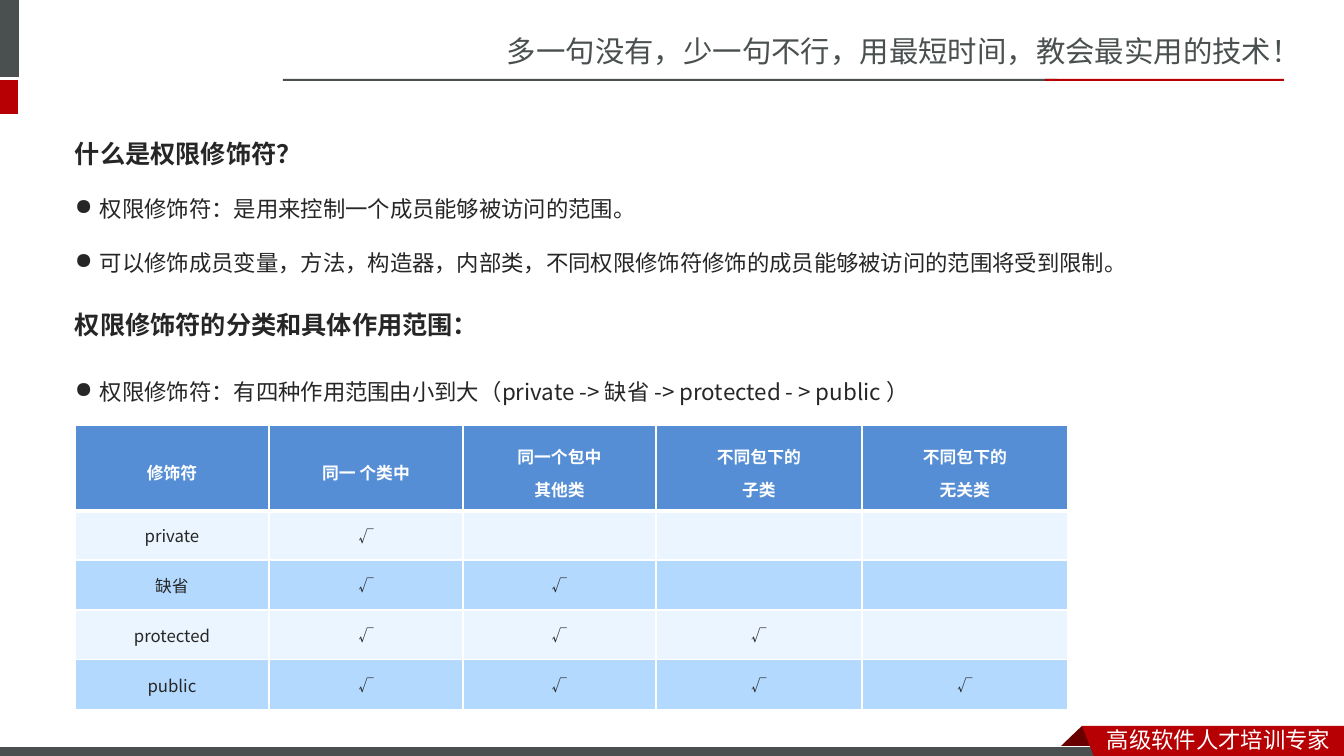
from pptx import Presentation
from pptx import util as u
from pptx.dml.color import RGBColor
from pptx.enum import shapes, text
from pptx.oxml.ns import qn
from lxml import etree

# Content
SC, JP = "Noto Sans CJK SC", "Noto Sans CJK JP"
GREY, RED, DARK_RED, INK, WHITE = "49504F", "B60004", "680000", "262626", "FFFFFF"
HEADER_BLUE, ROW_BLUES = "558ED5", ("EBF5FF", "B3D9FF")

# Bars: left, top, width, height, colour
HEADER_BARS = [
    (-6, 0, 25, 77, GREY),
    (-6, 80, 24, 34, RED),
    (283, 79, 774, 2, GREY),
    (1045, 79, 239, 2, RED),
]
FOOTER_BAR = (-1, 747, 1109, 12, GREY)
FOLD = [(1082, 726), (1104, 748), (1103, 749), (1060, 749), (1059, 748)]
RIBBON = [(1082, 726), (1344, 726), (1344, 760), (1095, 759)]

SLOGAN = "多一句没有，少一句不行，用最短时间，教会最实用的技术！"
FOOTER = "高级软件人才培训专家"

# Body boxes: position, wrap, paragraphs as (style, text)
BODY = [
    ((65, 103, 1092, 172), True, [
        ("heading", "什么是权限修饰符？"),
        ("bullet", "权限修饰符：是用来控制一个成员能够被访问的范围。"),
        ("bullet", "可以修饰成员变量，方法，构造器，内部类，不同权限修饰符修饰的成员能够被访问的范围将受到限制。"),
    ]),
    ((65, 304, 421, 40), False, [("heading", "权限修饰符的分类和具体作用范围：")]),
    ((65, 346, 948, 57), True, [
        ("bullet", "权限修饰符：有四种作用范围由小到大（private -> 缺省 -> protected - > public ）"),
    ]),
]

TABLE_LEFT, TABLE_TOP = 75, 425
COLUMN_WIDTHS = [194, 194, 193, 206, 206]
ROW_HEIGHTS = [86, 49, 50, 50, 50]
HEADINGS = [["修饰符"], ["同一 个类中"], ["同一个包中", "其他类"],
            ["不同包下的", "子类"], ["不同包下的", "无关类"]]
MODIFIERS = ["private", "缺省", "protected", "public"]  # each reaches one scope more

SCALE = 914400 / 100.8  # EMU in one px


def px(length):
    return u.Emu(round(length * SCALE))


def colour(value):
    return RGBColor.from_string(value)


def add_run(paragraph, words, size, font, ink, bold=False):
    run = paragraph.add_run()
    run.text = words
    run.font.size = u.Pt(size)
    run.font.name = font
    run.font.bold = bold
    run.font.color.rgb = colour(ink)
    east_asian = etree.SubElement(run.font._element, qn("a:ea"))
    east_asian.set("typeface", font)


def add_bullet(paragraph):
    properties = paragraph._p.get_or_add_pPr()
    properties.set("marL", str(px(25)))
    properties.set("indent", str(-px(25)))
    etree.SubElement(properties, qn("a:buChar")).set("char", "●")


def add_text_box(box, wrap=True):
    shape = slide.shapes.add_textbox(*map(px, box))
    shape.text_frame.word_wrap = wrap
    shape.text_frame.auto_size = text.MSO_AUTO_SIZE.SHAPE_TO_FIT_TEXT
    return shape.text_frame


def paint(shape, fill):
    shape.shadow.inherit = False
    shape.fill.solid()
    shape.fill.fore_color.rgb = colour(fill)
    shape.line.fill.background()


def add_bar(left, top, width, height, fill):
    box = map(px, (left, top, width, height))
    bar = slide.shapes.add_shape(shapes.MSO_SHAPE.RECTANGLE, *box)
    paint(bar, fill)
    return bar


def add_outline(points, fill):
    builder = slide.shapes.build_freeform(*points[0], scale=SCALE)
    builder.add_line_segments(points[1:], close=True)
    paint(builder.convert_to_shape(), fill)


def add_borders(cell, row):
    widths = {"a:lnL": 1, "a:lnR": 1,
              "a:lnT": 3 if row == 1 else 1, "a:lnB": 3 if row == 0 else 1}
    properties = cell._tc.get_or_add_tcPr()
    for side, width in widths.items():
        line = etree.SubElement(properties, qn(side))
        line.set("w", str(u.Pt(width)))
        solid = etree.SubElement(line, qn("a:solidFill"))
        etree.SubElement(solid, qn("a:srgbClr")).set("val", WHITE)


def fill_cell(cell, row, column, lines):
    add_borders(cell, row)
    cell.fill.solid()
    cell.fill.fore_color.rgb = colour(ROW_BLUES[(row - 1) % 2] if row else HEADER_BLUE)
    cell.vertical_anchor = text.MSO_ANCHOR.MIDDLE
    if not lines:
        return
    cell.margin_left = cell.margin_right = px(13)
    cell.margin_top = cell.margin_bottom = px(7)
    for index, words in enumerate(lines):
        frame = cell.text_frame
        paragraph = frame.add_paragraph() if index else frame.paragraphs[0]
        paragraph.alignment = text.PP_ALIGN.CENTER
        if row == 0:
            paragraph.line_spacing = u.Pt(24)
        size = 11 if row and column else 12
        add_run(paragraph, words, size, JP, INK if row else WHITE, bold=row == 0)


presentation = Presentation()
presentation.slide_width, presentation.slide_height = px(1344), px(756)
slide = presentation.slides.add_slide(presentation.slide_layouts[6])

# Slogan and header bars
slogan = add_text_box((497, 28, 848, 47))
add_run(slogan.paragraphs[0], SLOGAN, 21, SC, GREY)
for bar in HEADER_BARS:
    add_bar(*bar)

# Footer ribbon
add_outline(FOLD, DARK_RED)
footer_bar = add_bar(*FOOTER_BAR)
footer_bar.line.color.rgb = colour(WHITE)
footer_bar.line.width = u.Pt(0.75)
add_outline(RIBBON, RED)
footer = add_text_box((1097, 721, 247, 37))
add_run(footer.paragraphs[0], FOOTER, 16, SC, WHITE)

# Headings and bullets
for box, wrap, paragraphs in BODY:
    frame = add_text_box(box, wrap)
    for index, (style, words) in enumerate(paragraphs):
        paragraph = frame.add_paragraph() if index else frame.paragraphs[0]
        if wrap:
            paragraph.line_spacing = 2.0
        if style == "bullet":
            add_bullet(paragraph)
        heading = style == "heading"
        add_run(paragraph, words, 18 if heading else 16, JP, INK, bold=heading)

# Table of access scopes
rows = [HEADINGS]
for reach, modifier in enumerate(MODIFIERS, start=1):
    unreached = len(MODIFIERS) - reach
    rows.append([[modifier]] + [["√"]] * reach + [[]] * unreached)

table = slide.shapes.add_table(
    len(rows), len(COLUMN_WIDTHS), px(TABLE_LEFT), px(TABLE_TOP),
    px(sum(COLUMN_WIDTHS)), px(sum(ROW_HEIGHTS))).table
table.first_row = table.horz_banding = False
for table_column, width in zip(table.columns, COLUMN_WIDTHS):
    table_column.width = px(width)
for table_row, height in zip(table.rows, ROW_HEIGHTS):
    table_row.height = px(height)
for row, cells in enumerate(rows):
    for column, lines in enumerate(cells):
        fill_cell(table.cell(row, column), row, column, lines)

presentation.save("out.pptx")
